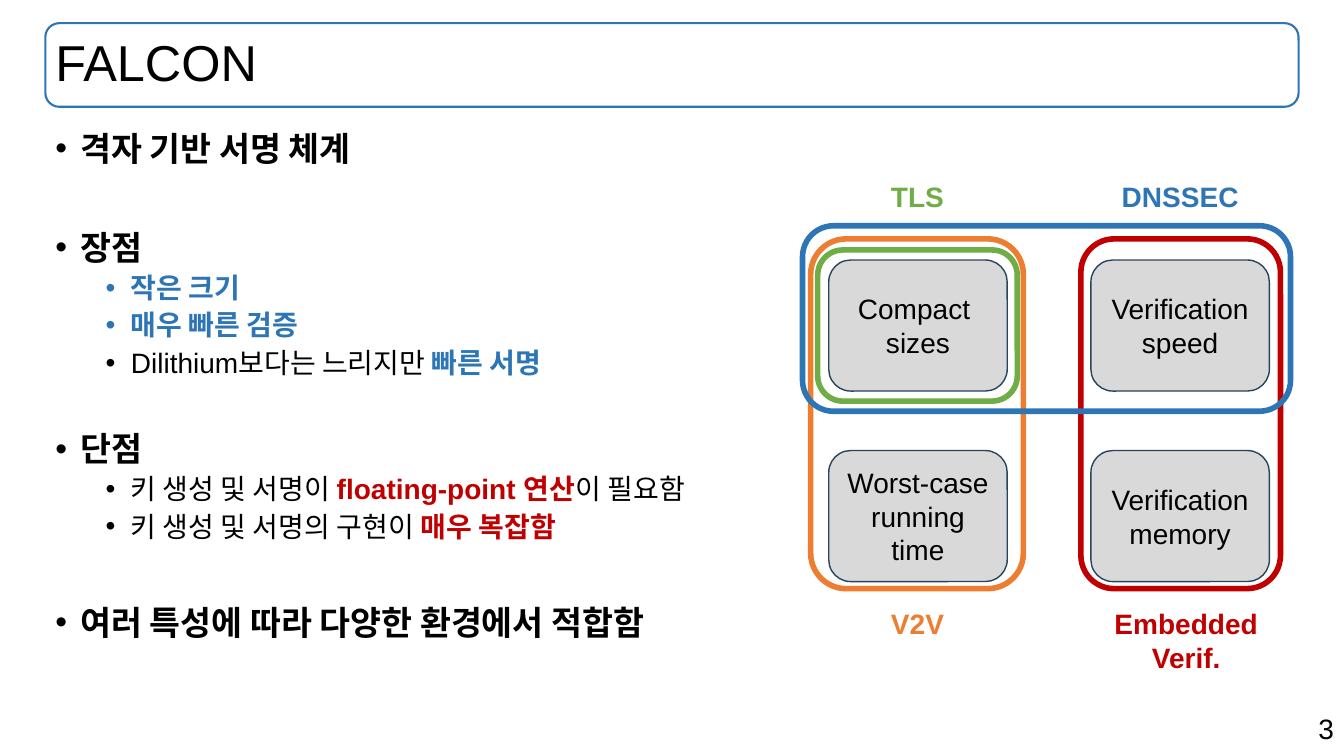
from lxml.etree import SubElement
from pptx import Presentation
from pptx.dml.color import RGBColor
from pptx.enum.shapes import MSO_SHAPE
from pptx.enum.text import MSO_ANCHOR, PP_ALIGN
from pptx.oxml.ns import qn
from pptx.util import Inches, Pt

COLS, ROWS = 133.3, 75
BLACK, BLUE, RED = "000000", "2E75B6", "C00000"
GREEN, ORANGE, GRAY, NAVY = "70AD47", "ED7D31", "D9D9D9", "28445D"


def color(code):
    return RGBColor.from_string(code)


class Deck:
    face = "Arial"

    def __init__(self):
        self.prs = Presentation()
        self.prs.slide_width = Inches(13.33)
        self.prs.slide_height = Inches(7.5)
        self.slide = self.prs.slides.add_slide(self.prs.slide_layouts[6])

    def area(self, col, row, wide, high):
        across = self.prs.slide_width / COLS
        down = self.prs.slide_height / ROWS
        return [round(n) for n in (col * across, row * down, wide * across, high * down)]

    def style(self, font, size, ink, bold):
        font.name = self.face
        font.size = Pt(size)
        font.bold = bold
        font.color.rgb = color(ink)

    def letter(self, shape, lines, size=20, ink=BLACK, bold=False, align=PP_ALIGN.CENTER):
        frame = shape.text_frame
        frame.word_wrap = True
        for i, line in enumerate(lines):
            para = frame.paragraphs[0] if i == 0 else frame.add_paragraph()
            para.text = line
            para.alignment = align
            self.style(para.font, size, ink, bold)

    def label(self, place, lines, **look):
        box = self.slide.shapes.add_textbox(*self.area(*place))
        self.letter(box, lines, **look)

    def frame(self, place, line, width, fill=None):
        shape = self.slide.shapes.add_shape(MSO_SHAPE.ROUNDED_RECTANGLE, *self.area(*place))
        shape.shadow.inherit = False
        shape.line.color.rgb = color(line)
        shape.line.width = Pt(width)
        if fill:
            shape.fill.solid()
            shape.fill.fore_color.rgb = color(fill)
        else:
            shape.fill.background()
        shape.text_frame.vertical_anchor = MSO_ANCHOR.MIDDLE
        return shape

    def title(self, place, text):
        bar = self.frame(place, BLUE, 1.5)
        bar.text_frame.margin_left = Inches(0.06)
        self.letter(bar, [text], size=36, align=PP_ALIGN.LEFT)
        bar.text_frame.paragraphs[0].line_spacing = 0.9

    def bullets(self, place, items):
        frame = self.slide.shapes.add_textbox(*self.area(*place)).text_frame
        frame.word_wrap = True
        for i, (level, gap, ink, parts) in enumerate(items):
            para = frame.paragraphs[0] if i == 0 else frame.add_paragraph()
            para.level = level
            para.line_spacing = 0.9
            para.space_before = Pt(gap)
            props = para._p.get_or_add_pPr()
            props.set("marL", str(Inches(0.25 + 0.5 * level)))
            props.set("indent", str(Inches(-0.25)))
            SubElement(props, qn("a:buFont"), typeface=self.face)
            SubElement(props, qn("a:buChar"), char="•")
            bold = level == 0 or ink != BLACK
            self.style(para.font, 20 if level else 24, ink, bold)
            for text, accent in parts:
                run = para.add_run()
                run.text = text
                if accent:
                    run.font.bold = True
                    run.font.color.rgb = color(accent)


def main():
    deck = Deck()
    deck.label((94.3, 70.1, 39, 4.4), ["3"], align=PP_ALIGN.RIGHT)
    deck.title((4.5, 2.3, 124.3, 8.3), "FALCON")
    deck.bullets((4.5, 12.6, 124.3, 60.1), [
        (0, 0, BLACK, [("격자 기반 서명 체계", None)]),
        (0, 45, BLACK, [("장점", None)]),
        (1, 5, BLUE, [("작은 크기", None)]),
        (1, 5, BLUE, [("매우 빠른 검증", None)]),
        (1, 5, BLACK, [("Dilithium보다는 느리지만 ", None), ("빠른 서명", BLUE)]),
        (0, 38, BLACK, [("단점", None)]),
        (1, 5, BLACK, [("키 생성 및 서명이 ", None), ("floating-point 연산", RED),
                       ("이 필요함", None)]),
        (1, 5, BLACK, [("키 생성 및 서명의 구현이 ", None), ("매우 복잡함", RED)]),
        (0, 45, BLACK, [("여러 특성에 따라 다양한 환경에서 적합함", None)]),
    ])

    traits = [
        [["Compact ", "sizes"], ["Verification", "speed"]],
        [["Worst-case", "running", "time"], ["Verification", "memory"]],
    ]
    for r, row in enumerate(traits):
        for c, lines in enumerate(row):
            place = (82.2 + 26 * c, 25.8 + 18.9 * r, 17.7, 13)
            deck.letter(deck.frame(place, NAVY, 1, GRAY), lines)

    groups = [
        (GREEN, (81.1, 24.8, 19.8, 15), ["TLS"], (82.1, 17.3, 17.8, 4.4)),
        (ORANGE, (80.4, 23.7, 21.1, 34.7), ["V2V"], (82.1, 59.7, 17.8, 4.4)),
        (RED, (107.2, 23.7, 19.8, 34.7), ["Embedded", "Verif."], (106.5, 59.7, 22.3, 7.7)),
        (BLUE, (79.6, 22.4, 48.4, 18.4), ["DNSSEC"], (106.5, 17.3, 21.1, 4.4)),
    ]
    for ink, ring, name, spot in groups:
        deck.frame(ring, ink, 4)
        deck.label(spot, name, ink=ink, bold=True)

    deck.prs.save("out.pptx")


if __name__ == "__main__":
    main()
